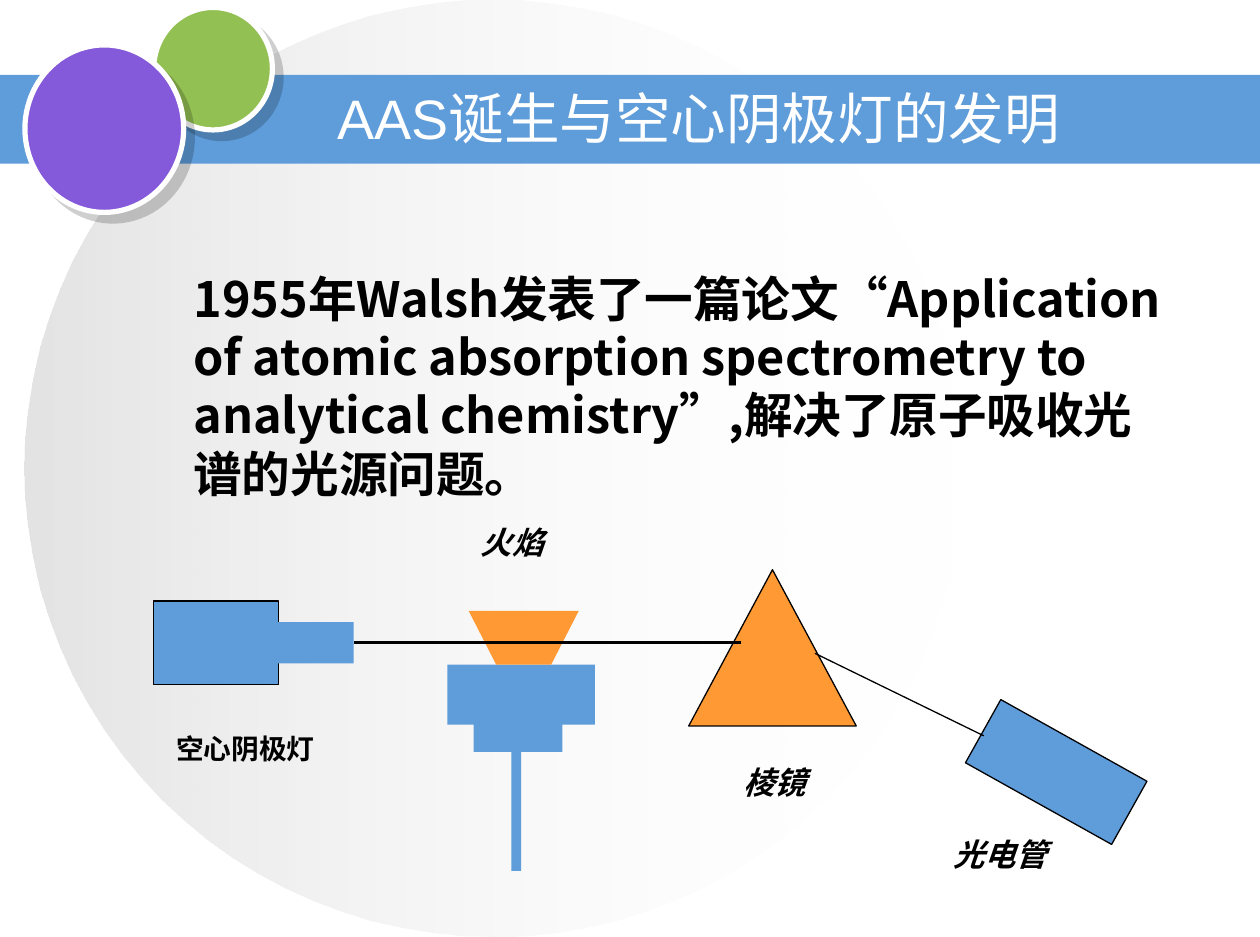
"""Build the slide on the birth of AAS and the hollow cathode lamp."""
from lxml import etree
from pptx import Presentation
from pptx.dml.color import RGBColor
from pptx.enum.shapes import MSO_CONNECTOR, MSO_SHAPE
from pptx.enum.text import MSO_ANCHOR, MSO_AUTO_SIZE, PP_ALIGN
from pptx.oxml.ns import qn
from pptx.util import Pt

RECTANGLE, OVAL = MSO_SHAPE.RECTANGLE, MSO_SHAPE.OVAL
TRIANGLE = MSO_SHAPE.ISOSCELES_TRIANGLE
STRAIGHT = MSO_CONNECTOR.STRAIGHT
LEFT, CENTER = PP_ALIGN.LEFT, PP_ALIGN.CENTER
TOP, MIDDLE = MSO_ANCHOR.TOP, MSO_ANCHOR.MIDDLE
RIGHT_SIDE = 3

WHITE = RGBColor(0xFF, 0xFF, 0xFF)
BLACK = RGBColor(0x00, 0x00, 0x00)
GRAY = RGBColor(0xC0, 0xC0, 0xC0)
BLUE = RGBColor(0x5E, 0x9C, 0xDA)
GREEN = RGBColor(0x93, 0xC0, 0x52)
PURPLE = RGBColor(0x85, 0x5A, 0xDA)
ORANGE = RGBColor(0xFF, 0x99, 0x33)
CHINESE_FONT = "Noto Sans CJK SC"

TITLE = "AAS诞生与空心阴极灯的发明"
TITLE_BOX = (22.52, 8.93, 65.87, 7.07)
BODY = [
    ("1955年Walsh发表了一篇论文“Application of atomic absorption "
     "spectrometry to analytical chemistry", CHINESE_FONT),
    ("”", "Arial"),
    (",解决了原子吸收光谱的光源问题。", CHINESE_FONT),
]
BODY_BOX = (14.38, 28, 79.17, 32.53)
BACKDROP_BOX = (1.98, 0, 74.4, 100)
BACKDROP_STOPS = [(GRAY, 44), (WHITE, 0)]
BAND_BOX = (0, 8, 100, 9.47)
BADGES = [(GREEN, (12.2, 0.8, 9.42, 13.07)), (PURPLE, (1.98, 4.8, 12.6, 17.87))]
NECK_BOX = (20.34, 66.4, 7.74, 4.4)
INSTRUMENT = {
    "lamp": (RECTANGLE, (12.2, 64.13, 9.92, 8.93), BLUE, 0.75, 0),
    "neck": (RECTANGLE, NECK_BOX, BLUE, 0, 0),
    "burner": (RECTANGLE, (35.52, 70.93, 11.71, 6.4), BLUE, 0, 0),
    "burner base": (RECTANGLE, (37.6, 74.53, 7.04, 5.73), BLUE, 0, 0),
    "burner stem": (RECTANGLE, (40.58, 79.47, 0.79, 13.47), BLUE, 0, 0),
    "prism": (TRIANGLE, (54.66, 60.8, 13.29, 16.67), ORANGE, 0.75, 0),
    "phototube": (RECTANGLE, (77.18, 78.53, 13.29, 7.73), BLUE, 0.75, 29.2),
}
FLAME = [(37.2, 65.2), (39.38, 70.93), (43.75, 70.93), (45.93, 65.2)]
BEAM_HEIGHT = NECK_BOX[1] + NECK_BOX[3] / 2
BEAM = (NECK_BOX[0] + NECK_BOX[2], BEAM_HEIGHT, 58.83, BEAM_HEIGHT)
REFRACTED_BEAM = (64.68, 69.73, 78.08, 78.53)
LABELS = [
    ("空心阴极灯", (13, 77.47, 16.67, 4.93), 16, False),
    ("火焰", (37.2, 55.2, 9.13, 5.33), 18, True),
    ("棱镜", (58.04, 80.8, 10.02, 5.33), 18, True),
    ("光电管", (74.7, 88.53, 11.71, 5.33), 18, True),
]

presentation = Presentation()
presentation.slide_width = Pt(725.75)
presentation.slide_height = Pt(539.88)
slide = presentation.slides.add_slide(presentation.slide_layouts[5])
shapes = slide.shapes


def place(box):
    """Turn percentage pairs of the slide's size into lengths."""
    sizes = (presentation.slide_width, presentation.slide_height) * 2
    return [round(share * size / 100) for share, size in zip(box, sizes)]


def style(shape, color, line_color=BLACK, line_width=0):
    """Give a shape a flat fill and an optional outline."""
    shape.shadow.inherit = False
    shape.fill.solid()
    shape.fill.fore_color.rgb = color
    if line_width:
        shape.line.color.rgb = line_color
        shape.line.width = Pt(line_width)
    else:
        shape.line.fill.background()
    return shape


def add_alpha(color_element, percent):
    """Set the opacity of a colour element."""
    etree.SubElement(color_element, qn("a:alpha"), val=str(percent * 1000))


def add_drop_shadow(shape):
    """Cast a sharp shadow to the lower right."""
    effects = shape.element.spPr.find(qn("a:effectLst"))
    shadow = etree.SubElement(effects, qn("a:outerShdw"), blurRad="0",
                              dist=str(Pt(7.1)), dir=str(45 * 60000),
                              algn="ctr", rotWithShape="0")
    add_alpha(etree.SubElement(shadow, qn("a:srgbClr"), val=str(BLACK)), 19)


def write(shape, runs, size, color=BLACK, bold=False, italic=False,
          align=LEFT, anchor=TOP):
    """Write (text, font) runs into a shape as one paragraph."""
    frame = shape.text_frame
    frame.word_wrap = True
    frame.auto_size = MSO_AUTO_SIZE.NONE
    frame.vertical_anchor = anchor
    paragraph = frame.paragraphs[0]
    paragraph.alignment = align
    for text, font_name in runs:
        run = paragraph.add_run()
        run.text = text
        font = run.font
        font.name, font.size = font_name, Pt(size)
        font.bold, font.italic = bold, italic
        font.color.rgb = color
        etree.SubElement(font._element, qn("a:ea"), typeface=CHINESE_FONT)


def add_beam(ends, width):
    """Draw a straight light beam."""
    beam = shapes.add_connector(STRAIGHT, *place(ends))
    beam.line.color.rgb = BLACK
    beam.line.width = Pt(width)
    etree.SubElement(beam._element.spPr, qn("a:effectLst"))
    return beam


backdrop = style(shapes.add_shape(OVAL, *place(BACKDROP_BOX)), WHITE)
backdrop.fill.gradient()
backdrop.fill.gradient_angle = 0
for stop, (color, opacity) in zip(backdrop.fill.gradient_stops, BACKDROP_STOPS):
    stop.color.rgb = color
gradient_colors = backdrop.element.spPr.find(qn("a:gradFill")).iter(qn("a:srgbClr"))
for color_element, (color, opacity) in zip(gradient_colors, BACKDROP_STOPS):
    add_alpha(color_element, opacity)

style(shapes.add_shape(RECTANGLE, *place(BAND_BOX)), BLUE)
for color, box in BADGES:
    add_drop_shadow(style(shapes.add_shape(OVAL, *place(box)), color, WHITE, 3))

write(shapes.add_textbox(*place(BODY_BOX)), BODY, 28, bold=True)

parts = {}
for name, (kind, box, color, line_width, rotation) in INSTRUMENT.items():
    parts[name] = style(shapes.add_shape(kind, *place(box)), color,
                        line_width=line_width)
    parts[name].rotation = rotation

flame_points = [place(point) for point in FLAME]
builder = shapes.build_freeform(*flame_points[0])
builder.add_line_segments(flame_points[1:], close=True)
style(builder.convert_to_shape(), ORANGE)

add_beam(BEAM, 1.5).begin_connect(parts["neck"], RIGHT_SIDE)
add_beam(REFRACTED_BEAM, 0.75)

for text, box, size, italic in LABELS:
    write(shapes.add_textbox(*place(box)), [(text, "Times New Roman")], size,
          bold=True, italic=italic)

title = shapes.title
title.left, title.top, title.width, title.height = place(TITLE_BOX)
write(title, [(TITLE, "Arial")], 32, WHITE, align=CENTER, anchor=MIDDLE)
shapes._spTree.append(title.element)

presentation.save("out.pptx")
